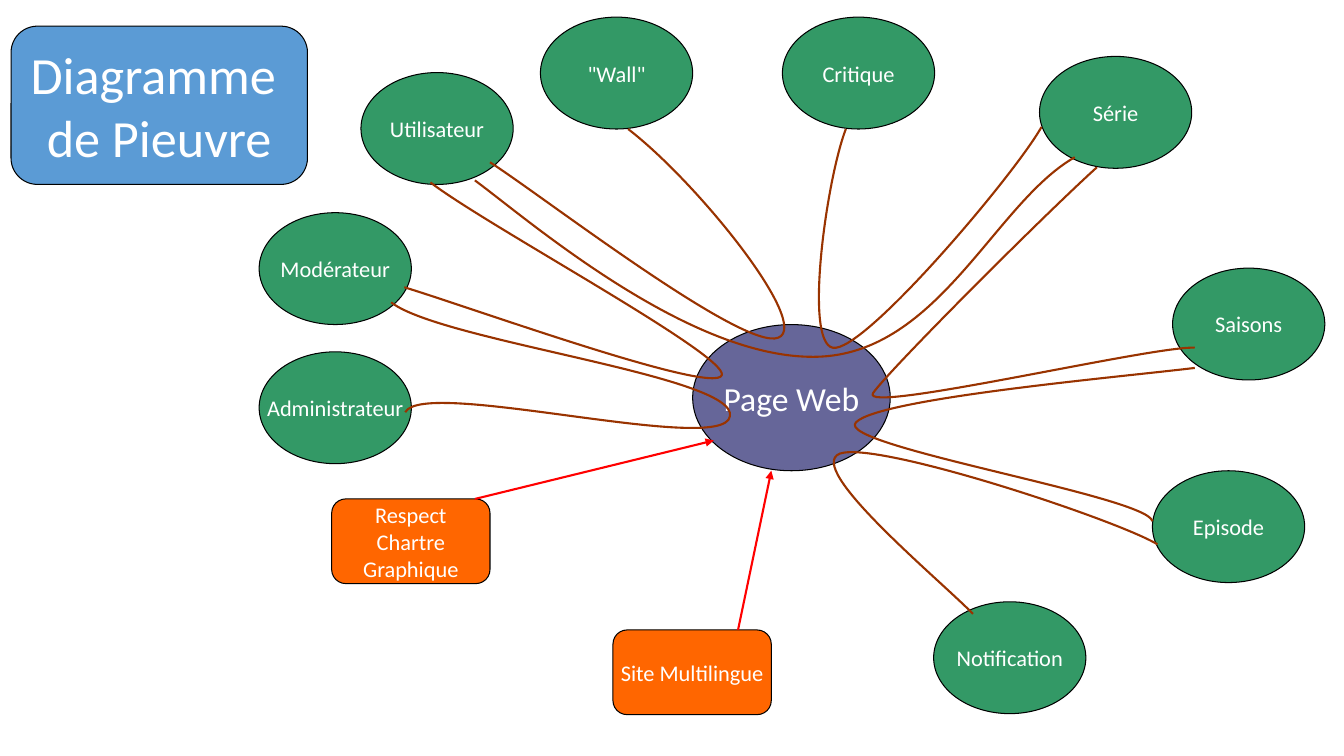
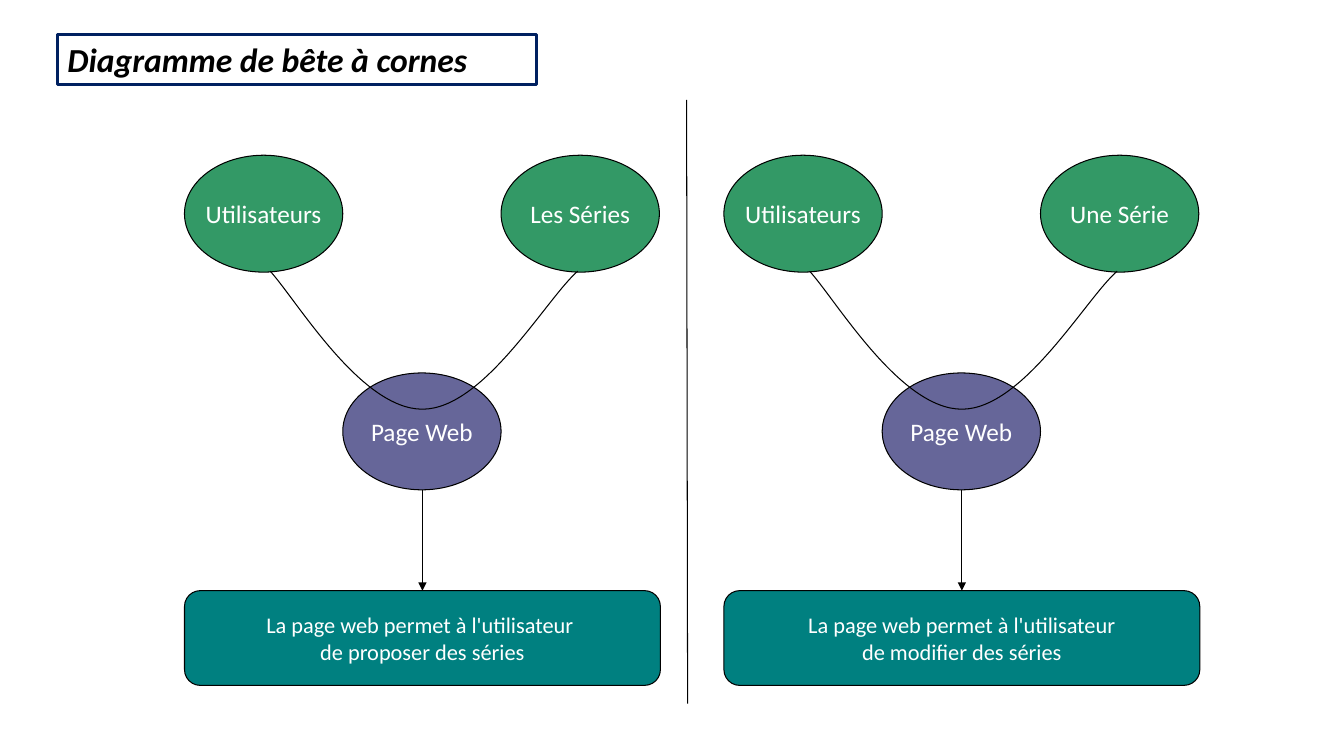
"""Build the octopus diagram and the horned-beast diagram of a series website."""
from dataclasses import dataclass

from lxml import etree
from pptx import Presentation
from pptx.dml.color import RGBColor
from pptx.enum.shapes import MSO_CONNECTOR, MSO_SHAPE
from pptx.enum.text import MSO_ANCHOR, MSO_AUTO_SIZE, PP_ALIGN
from pptx.oxml.ns import qn
from pptx.util import Inches, Pt

ELLIPSE = MSO_SHAPE.OVAL
ROUNDED = MSO_SHAPE.ROUNDED_RECTANGLE
STRAIGHT = MSO_CONNECTOR.STRAIGHT
MIDDLE = MSO_ANCHOR.MIDDLE
CENTER = PP_ALIGN.CENTER
GROW = MSO_AUTO_SIZE.SHAPE_TO_FIT_TEXT
TOP_SIDE = 0


@dataclass(frozen=True)
class Theme:
    font: str = "Calibri"
    text: str = "FFFFFF"
    ink: str = "000000"
    hub: str = "666699"
    actor: str = "339966"
    constraint: str = "FF6600"
    outcome: str = "008080"
    banner: str = "5B9BD5"
    frame: str = "002060"
    tentacle: str = "993300"
    arrow: str = "FF0000"
    banner_size: float = 37.3
    title_size: float = 24
    horn_size: float = 18
    body_size: float = 16
    thin: float = 0.75
    medium: float = 1.5
    thick: float = 2.25


THEME = Theme()

BANNER = (["Diagramme ", "de Pieuvre"], (0.11, 0.26, 2.94, 1.57))
HUB = (["Page Web"], (6.87, 3.22, 1.96, 1.45))
ACTOR_SIZE = (1.51, 1.11)
ACTORS = [
    ("Administrateur", 2.57, 3.49),
    ("Utilisateur", 3.58, 0.72),
    ("Modérateur", 2.57, 2.11),
    ("Série", 10.31, 0.56),
    ("Episode", 11.43, 4.67),
    ("Critique", 7.76, 0.17),
    ("Notification", 9.26, 5.97),
    ("Saisons", 11.63, 2.66),
    ('"Wall"', 5.36, 0.17),
]
TENTACLES = [
    [(4.86, 1.61), (5.39, 1.95), (7.38, 3.49), (7.72, 3.35),
     (8.05, 3.22), (6.92, 1.81), (6.23, 1.28)],
    [(4.71, 1.79), (5.19, 2.14), (6.77, 3.52), (8.03, 3.54),
     (9.29, 3.57), (9.85, 2.02), (10.66, 1.56)],
    [(8.39, 1.28), (8.2, 1.77), (7.97, 3.39), (8.26, 3.45),
     (8.56, 3.51), (10.06, 1.74), (10.33, 1.26)],
    [(3.88, 3), (4.38, 3.39), (7.32, 3.73), (7.24, 4.13),
     (7.18, 4.53), (4.2, 3.74), (4.02, 4.09)],
    [(10.88, 1.66), (10.37, 2.12), (8.81, 3.68), (8.66, 3.9),
     (8.51, 4.12), (11.43, 3.43), (11.85, 3.45)],
    [(11.85, 3.65), (11.12, 3.74), (8.72, 3.95), (8.49, 4.19),
     (8.26, 4.42), (11.37, 4.92), (11.43, 5.17)],
    [(9.65, 6.09), (9.32, 5.75), (7.97, 4.64), (8.33, 4.5),
     (8.7, 4.37), (11.06, 5.15), (11.48, 5.4)],
    [(4.01, 2.85), (4.7, 3.06), (7.1, 3.93), (7.16, 3.72),
     (7.21, 3.52), (4.83, 2.24), (4.27, 1.81)],
]
CONSTRAINT_SIZE = (1.57, 0.84)
CONSTRAINTS = [
    (["Respect", "Chartre", "Graphique"], (3.29, 4.95), (4.71, 4.95), (7.08, 4.37)),
    (["Site Multilingue"], (6.08, 6.25), (7.32, 6.25), (7.65, 4.67)),
]

HORN_TITLE = ("Diagramme de bête à cornes", (0.57, 0.34, 4.75, 0.5))
DIVIDER = ((6.81, 0.99), (6.82, 6.98))
PANELS = [
    ("Utilisateurs", "Les Séries",
     ["La page web permet à l'utilisateur ", "de proposer des séries"]),
    ("Utilisateurs", "Une Série",
     ["La page web permet à l'utilisateur", "de modifier des séries"]),
]
PANEL_LEFT, PANEL_STEP, PANEL_WIDTH = 1.83, 5.35, 4.72
HORN_WIDTH, HORN_HEIGHT = 1.57, 1.16
HORN_TOP, HUB_TOP, OUTCOME_TOP, OUTCOME_HEIGHT = 1.54, 3.7, 5.86, 0.94
HORN_CURVE = [(0.85, 2.69), (1.12, 2.99), (1.75, 4.06), (2.36, 4.06),
              (2.97, 4.06), (3.59, 2.96), (3.9, 2.69)]


def inches(values):
    return [Inches(value) for value in values]


def style_line(line, color, width):
    line.color.rgb = RGBColor.from_string(color)
    line.width = Pt(width)


def style_font(font, size, color):
    font.name = THEME.font
    font.size = Pt(size)
    font.color.rgb = RGBColor.from_string(color)


def add_node(slide, kind, lines, box, fill, size):
    node = slide.shapes.add_shape(kind, *inches(box))
    node.shadow.inherit = False
    node.fill.solid()
    node.fill.fore_color.rgb = RGBColor.from_string(fill)
    style_line(node.line, THEME.ink, THEME.thin)
    frame = node.text_frame
    frame.word_wrap = False
    frame.vertical_anchor = MIDDLE
    frame.text = "\n".join(lines)
    for paragraph in frame.paragraphs:
        paragraph.alignment = CENTER
        style_font(paragraph.font, size, THEME.text)
    return node


def add_curve(slide, points, color, width):
    start, *controls = [inches(point) for point in points]
    builder = slide.shapes.build_freeform(*start)
    builder.add_line_segments(controls, close=False)
    curve = builder.convert_to_shape()
    curve.shadow.inherit = False
    curve.fill.background()
    style_line(curve.line, color, width)
    segments = list(curve.element.iter(qn("a:lnTo")))
    for first in range(0, len(segments), 3):
        trio = segments[first:first + 3]
        bezier = etree.Element(qn("a:cubicBezTo"))
        trio[0].addprevious(bezier)
        for segment in trio:
            bezier.append(segment[0])
            segment.getparent().remove(segment)


def add_link(slide, start, end, color, width, arrow=True):
    link = slide.shapes.add_connector(STRAIGHT, *inches(start + end))
    style_line(link.line, color, width)
    if arrow:
        outline = link.line._get_or_add_ln()
        etree.SubElement(outline, qn("a:tailEnd"), type="triangle")
    etree.SubElement(link.element.spPr, qn("a:effectLst"))
    return link


def build_octopus(slide):
    lines, box = HUB
    add_node(slide, ELLIPSE, lines, box, THEME.hub, THEME.title_size)
    for name, left, top in ACTORS:
        add_node(slide, ELLIPSE, [name], (left, top) + ACTOR_SIZE,
                 THEME.actor, THEME.body_size)
    for points in TENTACLES:
        add_curve(slide, points, THEME.tentacle, THEME.medium)
    for lines, corner, start, end in CONSTRAINTS:
        add_node(slide, ROUNDED, lines, corner + CONSTRAINT_SIZE,
                 THEME.constraint, THEME.body_size)
        add_link(slide, start, end, THEME.arrow, THEME.medium)
    lines, box = BANNER
    add_node(slide, ROUNDED, lines, box, THEME.banner, THEME.banner_size)


def build_panel(slide, left, user, subject, outcome_lines):
    horns = [
        (user, 0, HORN_TOP, THEME.actor),
        ("Page Web", 1, HUB_TOP, THEME.hub),
        (subject, 2, HORN_TOP, THEME.actor),
    ]
    for name, column, top, fill in horns:
        box = (left + column * HORN_WIDTH, top, HORN_WIDTH, HORN_HEIGHT)
        add_node(slide, ELLIPSE, [name], box, fill, THEME.horn_size)
    outcome = add_node(slide, ROUNDED, outcome_lines,
                       (left, OUTCOME_TOP, PANEL_WIDTH, OUTCOME_HEIGHT),
                       THEME.outcome, THEME.body_size)
    add_curve(slide, [(left + x, y) for x, y in HORN_CURVE], THEME.ink, THEME.thin)
    center = left + PANEL_WIDTH / 2
    link = add_link(slide, (center, HUB_TOP + HORN_HEIGHT), (center, OUTCOME_TOP),
                    THEME.ink, THEME.thin)
    link.end_connect(outcome, TOP_SIDE)


def build_horned_beast(slide):
    for index, panel in enumerate(PANELS):
        build_panel(slide, PANEL_LEFT + index * PANEL_STEP, *panel)
    add_link(slide, *DIVIDER, THEME.ink, THEME.thin, arrow=False)
    text, box = HORN_TITLE
    title = slide.shapes.add_textbox(*inches(box))
    style_line(title.line, THEME.frame, THEME.thick)
    frame = title.text_frame
    frame.word_wrap = True
    frame.auto_size = GROW
    frame.text = text
    font = frame.paragraphs[0].font
    style_font(font, THEME.title_size, THEME.ink)
    font.bold = font.italic = True


def main():
    deck = Presentation()
    deck.slide_width, deck.slide_height = inches((13.33, 7.5))
    blank = deck.slide_layouts[6]
    for build in (build_octopus, build_horned_beast):
        build(deck.slides.add_slide(blank))
    deck.save("out.pptx")


if __name__ == "__main__":
    main()
